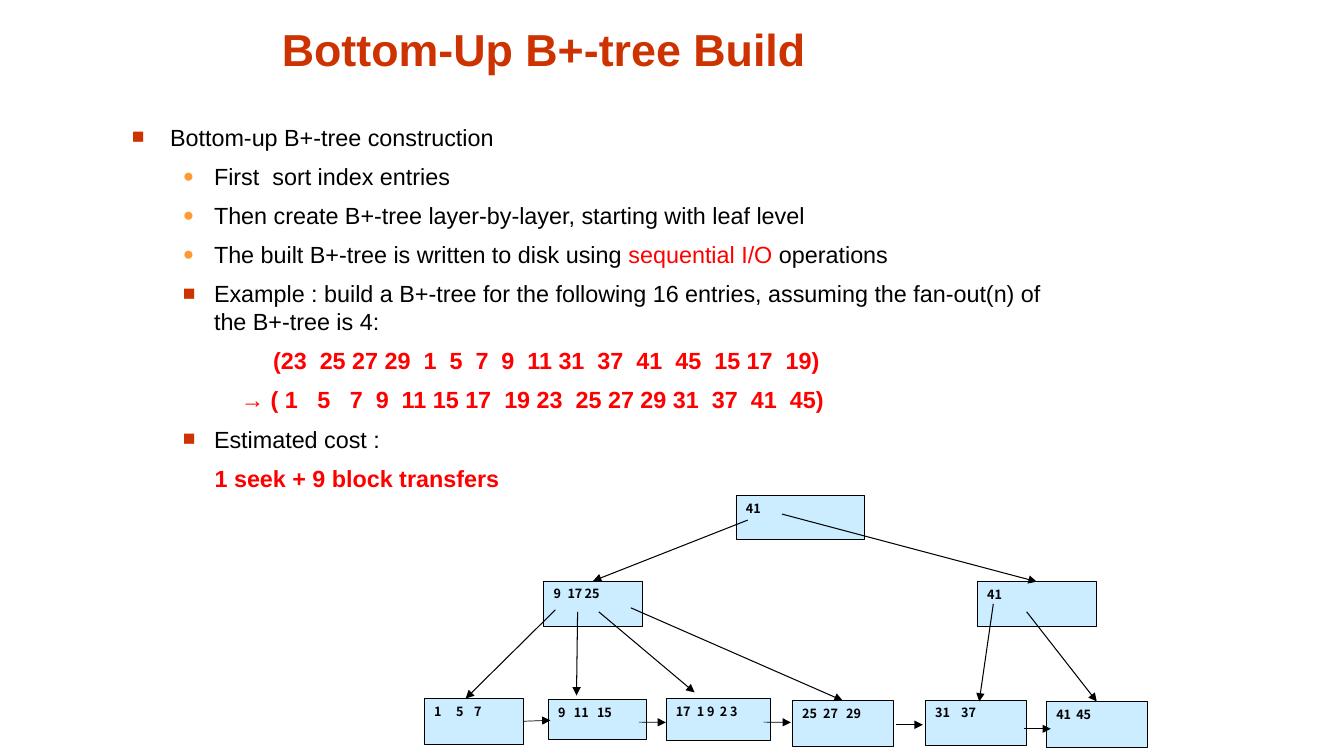
"""Build the slide on bottom-up B+-tree construction."""
from lxml.etree import SubElement as Sub
from pptx import Presentation
from pptx.dml.color import RGBColor as RGB
from pptx.enum.shapes import MSO_CONNECTOR as LINK, MSO_SHAPE as SHAPE
from pptx.enum.text import MSO_ANCHOR as ANCHOR, PP_ALIGN as ALIGN
from pptx.oxml.ns import qn
from pptx.util import Pt

BLACK, RED = RGB(0, 0, 0), RGB(255, 0, 0)
RUST, AMBER = RGB(0xCC, 0x33, 0), RGB(0xFF, 0x99, 0x33)
SKY = RGB(0xCC, 0xEC, 0xFF)

TITLE = "Bottom-Up B+-tree Build"
PLAIN = {"size": Pt(16.7), "name": "Arial", "bold": False}
STRONG = {**PLAIN, "bold": True}
HEAD = {**STRONG, "size": Pt(32)}
LABEL = {"size": Pt(9), "name": "Noto Sans CJK SC", "bold": True}

SQUARE, DOT = ("■", RUST, 90), ("●", AMBER, 80)
TOP, SUB = (27.4, -27.4), (58.8, -22.3)
SPACE = 464
RAW = "(23__25 27 29__1__5__7__9__11 31__37__41__45__15 17__19)"
SORTED = "→ ( 1___5___7__9__11 15 17__19 23__25 27 29 31__37__41__45)"
BODY = [
    (TOP, SQUARE, [("Bottom-up B+-tree construction", BLACK)]),
    (SUB, DOT, [("First__sort index entries", BLACK)]),
    (SUB, DOT, [("Then create B+-tree layer-by-layer, starting with leaf level",
                 BLACK)]),
    (SUB, DOT, [("The built B+-tree is written to disk using ", BLACK),
                ("sequential I/O ", RED), ("operations", BLACK)]),
    (SUB, SQUARE, [("Example : build a B+-tree for the following 16 entries, "
                    "assuming the fan-out(n) of the B+-tree is 4:", BLACK)]),
    ((0, 101), None, [(RAW, RED)]),
    ((0, 78), None, [(SORTED, RED)]),
    (SUB, SQUARE, [("Estimated cost :", BLACK)]),
    ((59.2, 0), None, [("1 seek + 9 block transfers", RED)]),
]

NODES = {
    "leaf1": (303.1, 499, 70.6, 32.4, ["1", "5", "7"], [15.7, 28.6]),
    "leaf2": (391.7, 499.9, 70.6, 28.1, ["9", "11", "15"], [11.4, 27.9]),
    "leaf3": (475.9, 499, 74.9, 30.2, ["17", "1 9", "2 3"], [15, 31.5]),
    "leaf4": (566.2, 500.4, 72, 32.4, ["25", "27", "29"], [15, 31.5]),
    "leaf5": (661.2, 500.2, 72, 32.4, ["31", "37"], [18.6]),
    "leaf6": (747.8, 501.1, 72, 32.4, ["41", "45"], [14.3]),
    "left": (388.5, 415, 70.6, 32.4, ["9", "17", "25"], [10, 22.3]),
    "right": (698.4, 415.5, 85, 32, ["41"], []),
    "root": (526, 354.2, 92, 31, ["41"], []),
}
LINKS = [
    (0.5, ("leaf1", 3), (393.4, 514.5)),
    (0.5, (456.5, 515.8), (475.9, 516)),
    (0.5, (545.8, 515.8), (565.2, 516)),
    (0.5, (640.1, 517.7), (659.5, 517.7)),
    (0.5, (731.5, 520.6), (751, 520.6)),
    (0.75, (396.9, 435.6), (332.8, 499)),
    (0.75, (412.8, 437), (412, 496.8)),
    (0.75, (427.9, 437), (496.4, 494.6)),
    (0.75, (450.9, 434.2), ("leaf4", 0)),
    (0.75, (709.9, 431.3), (699.8, 501.1)),
    (0.75, (733.7, 437), ("leaf6", 0)),
    (0.75, (534.4, 371.5), ("left", 0)),
    (0.75, (558.9, 367.2), ("right", 0)),
]


def write(para, text, color, style):
    run = para.add_run()
    run.text = text
    for key, value in style.items():
        setattr(run.font, key, value)
    run.font.color.rgb = color
    return run


def write_gaps(para, text, color, style):
    wide = 0
    for word in text.split("_"):
        if word and wide:
            gap = write(para, " ", color, style)
            gap._r.get_or_add_rPr().set("spc", str(SPACE * (wide - 1)))
            wide = 0
        if word:
            write(para, word, color, style)
        wide += 1


def set_tabs(para, stops):
    tabs = Sub(para._p.get_or_add_pPr(), qn("a:tabLst"))
    for stop in stops:
        Sub(tabs, qn("a:tab"), pos=str(Pt(stop)), algn="l")


def set_bullet(para, mark):
    char, color, size = mark
    props = para._p.get_or_add_pPr()
    Sub(Sub(props, qn("a:buClr")), qn("a:srgbClr"), val=str(color))
    Sub(props, qn("a:buSzPct"), val=str(size * 1000))
    Sub(props, qn("a:buFont"), typeface="Arial")
    Sub(props, qn("a:buChar"), char=char)


def add_box(slide, *area):
    frame = slide.shapes.add_textbox(*map(Pt, area)).text_frame
    frame.word_wrap = True
    return frame


def add_body(slide):
    frame = add_box(slide, 87.1, 84.2, 673.9, 263.5)
    for i, (margin, mark, runs) in enumerate(BODY):
        para = frame.add_paragraph() if i else frame.paragraphs[0]
        if i:
            para.space_before = Pt(7.9)
        props = para._p.get_or_add_pPr()
        for key, value in zip(("marL", "indent"), margin):
            props.set(key, str(Pt(value)))
        if mark:
            set_bullet(para, mark)
        for text, color in runs:
            write_gaps(para, text, color, PLAIN if mark else STRONG)


def add_node(slide, x, y, w, h, keys, stops):
    node = slide.shapes.add_shape(SHAPE.RECTANGLE, *map(Pt, (x, y, w, h)))
    node.shadow.inherit = False
    node.fill.solid()
    node.fill.fore_color.rgb = SKY
    node.line.color.rgb = BLACK
    node.line.width = Pt(0.5)
    node.text_frame.vertical_anchor = ANCHOR.TOP
    para = node.text_frame.paragraphs[0]
    para.alignment = ALIGN.LEFT
    if stops:
        set_tabs(para, stops)
    write(para, "\t".join(keys), BLACK, LABEL)
    return node


def add_link(slide, nodes, width, start, end):
    ends = [(0, 0) if p[0] in nodes else p for p in (start, end)]
    link = slide.shapes.add_connector(
        LINK.STRAIGHT, *(Pt(v) for p in ends for v in p))
    for join, (name, side) in ((link.begin_connect, start),
                               (link.end_connect, end)):
        if name in nodes:
            join(nodes[name], side)
    link.line.color.rgb = BLACK
    link.line.width = Pt(width)
    Sub(link.line._get_or_add_ln(), qn("a:tailEnd"), type="triangle")
    Sub(link._element.spPr, qn("a:effectLst"))


def main():
    deck = Presentation()
    deck.slide_width, deck.slide_height = Pt(960.5), Pt(540)
    slide = deck.slides.add_slide(deck.slide_layouts[6])
    head = add_box(slide, 80.6, 9.4, 616.3, 48.2)
    head.vertical_anchor = ANCHOR.BOTTOM
    head.paragraphs[0].alignment = ALIGN.CENTER
    write(head.paragraphs[0], TITLE, RUST, HEAD)
    add_body(slide)
    nodes = {name: add_node(slide, *node) for name, node in NODES.items()}
    for link in LINKS:
        add_link(slide, nodes, *link)
    deck.save("out.pptx")


if __name__ == "__main__":
    main()
